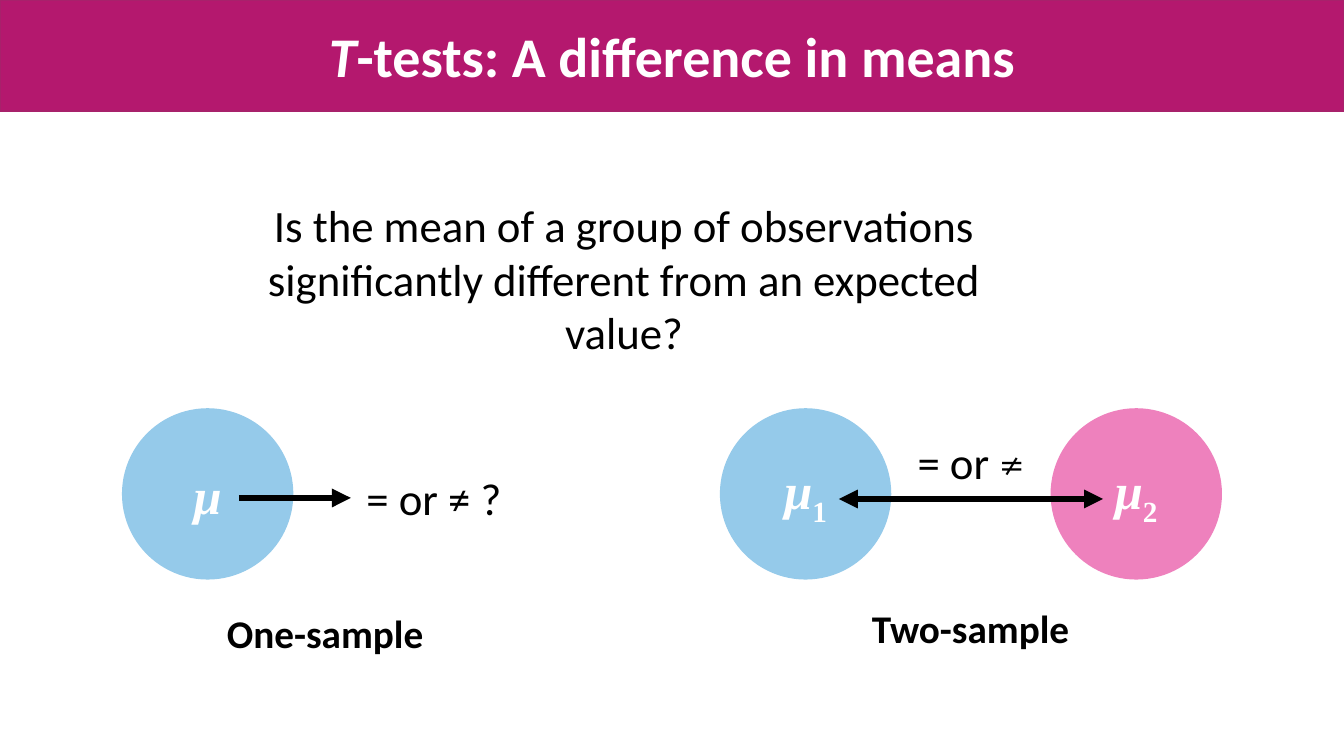
from lxml import etree
from pptx import Presentation
from pptx.dml.color import RGBColor
from pptx.enum.shapes import MSO_CONNECTOR, MSO_SHAPE
from pptx.enum.text import MSO_ANCHOR, MSO_AUTO_SIZE, PP_ALIGN
from pptx.oxml.ns import qn
from pptx.util import Inches, Pt

CENTER = PP_ALIGN.CENTER
MIDDLE, TOP = MSO_ANCHOR.MIDDLE, MSO_ANCHOR.TOP
NO_AUTOFIT = MSO_AUTO_SIZE.NONE
OVAL = MSO_SHAPE.OVAL
STRAIGHT = MSO_CONNECTOR.STRAIGHT

MAGENTA = RGBColor(0xB4, 0x18, 0x6E)
MAGENTA_EDGE = RGBColor(0xA8, 0x21, 0x6B)
BLUE = RGBColor(0x95, 0xCA, 0xEA)
PINK = RGBColor(0xEE, 0x81, 0xBD)
BLACK = RGBColor(0, 0, 0)
WHITE = RGBColor(0xFF, 0xFF, 0xFF)

SLIDE_WIDTH = 13.33
CIRCLE_TOP, CIRCLE_SIZE = 4.05, 1.7
TITLE_ONLY = 5


class SlideBuilder:
    """Holds the style and the current slide."""

    body_font = "Calibri"
    symbol_font = "Times New Roman"
    math_font = "Cambria"

    def __init__(self, slide):
        """Start drawing directly on the slide."""
        self.slide = slide
        self.canvas = slide.shapes

    def start_group(self):
        """Send the following elements to a new group."""
        self.canvas = self.slide.shapes.add_group_shape().shapes

    def set_text(self, shape, runs, size, color, font=body_font, bold=False, anchor=TOP):
        """Write one centred paragraph and return its runs."""
        frame = shape.text_frame
        frame.word_wrap = True
        frame.auto_size = NO_AUTOFIT
        frame.vertical_anchor = anchor
        paragraph = frame.paragraphs[0]
        paragraph.alignment = CENTER
        paragraph.font.name = font
        paragraph.font.size = Pt(size)
        paragraph.font.bold = bold
        paragraph.font.color.rgb = color
        written = []
        for words in runs:
            run = paragraph.add_run()
            run.text = words
            written.append(run)
        return written

    def title(self, runs, height):
        """Turn the title placeholder into a full-width banner."""
        banner = self.slide.shapes.title
        banner.left = banner.top = 0
        banner.width, banner.height = Inches(SLIDE_WIDTH), Inches(height)
        banner.fill.solid()
        banner.fill.fore_color.rgb = MAGENTA
        banner.line.color.rgb = MAGENTA_EDGE
        banner.line.width = Pt(1)
        return self.set_text(banner, runs, 40, WHITE, bold=True, anchor=MIDDLE)

    def text(self, left, top, width, height, runs, size=32, bold=False):
        """Add a centred text box and return its runs."""
        box = self.canvas.add_textbox(
            Inches(left), Inches(top), Inches(width), Inches(height))
        return self.set_text(box, runs, size, BLACK, bold=bold)

    def mean_circle(self, left, fill, subscript=""):
        """Add a circle holding a mu with an optional subscript."""
        circle = self.canvas.add_shape(
            OVAL, Inches(left), Inches(CIRCLE_TOP), Inches(CIRCLE_SIZE), Inches(CIRCLE_SIZE))
        circle.shadow.inherit = False
        circle.fill.solid()
        circle.fill.fore_color.rgb = fill
        circle.line.fill.background()
        runs = ["μ", subscript] if subscript else ["μ"]
        mu, *index = self.set_text(
            circle, runs, 36, WHITE, font=self.symbol_font, bold=True, anchor=MIDDLE)
        mu.font.italic = True
        for run in index:
            run.font._element.set("baseline", "-25000")

    def arrow(self, start, end, y, both_ways=False):
        """Add a thick horizontal arrow."""
        connector = self.canvas.add_connector(
            STRAIGHT, Inches(start), Inches(y), Inches(end), Inches(y))
        connector.line.color.rgb = BLACK
        connector.line.width = Pt(4.5)
        line = connector.line._get_or_add_ln()
        for tag in ["a:headEnd", "a:tailEnd"] if both_ways else ["a:tailEnd"]:
            etree.SubElement(line, qn(tag), type="triangle")
        etree.SubElement(connector._element.spPr, qn("a:effectLst"))


presentation = Presentation()
presentation.slide_width = Inches(SLIDE_WIDTH)
presentation.slide_height = Inches(7.5)
builder = SlideBuilder(
    presentation.slides.add_slide(presentation.slide_layouts[TITLE_ONLY]))

test_letter, _ = builder.title(["T", "-tests: A difference in means"], 1.1)
test_letter.font.italic = True
builder.text(2, 1.91, 8.38, 1.18, [
    "Is the mean of a group of observations significantly different "
    "from an expected value?"])

builder.start_group()
builder.mean_circle(1.21, BLUE)
builder.arrow(2.37, 3.48, 4.94)
builder.text(3.37, 4.62, 1.87, 0.64, ["= or ≠ ?"])
builder.text(1.81, 6, 2.83, 0.57, ["One-sample"], size=28, bold=True)

builder.start_group()
builder.mean_circle(7.14, BLUE, "1")
builder.mean_circle(10.42, PINK, "2")
builder.arrow(8.32, 10.94, 4.95, both_ways=True)
_, not_equal = builder.text(8.76, 4.26, 1.74, 0.64, ["= or ", "≠"])
not_equal.font.name = builder.math_font
builder.text(8.21, 5.95, 2.83, 0.57, ["Two-sample"], size=28, bold=True)

presentation.save("out.pptx")
